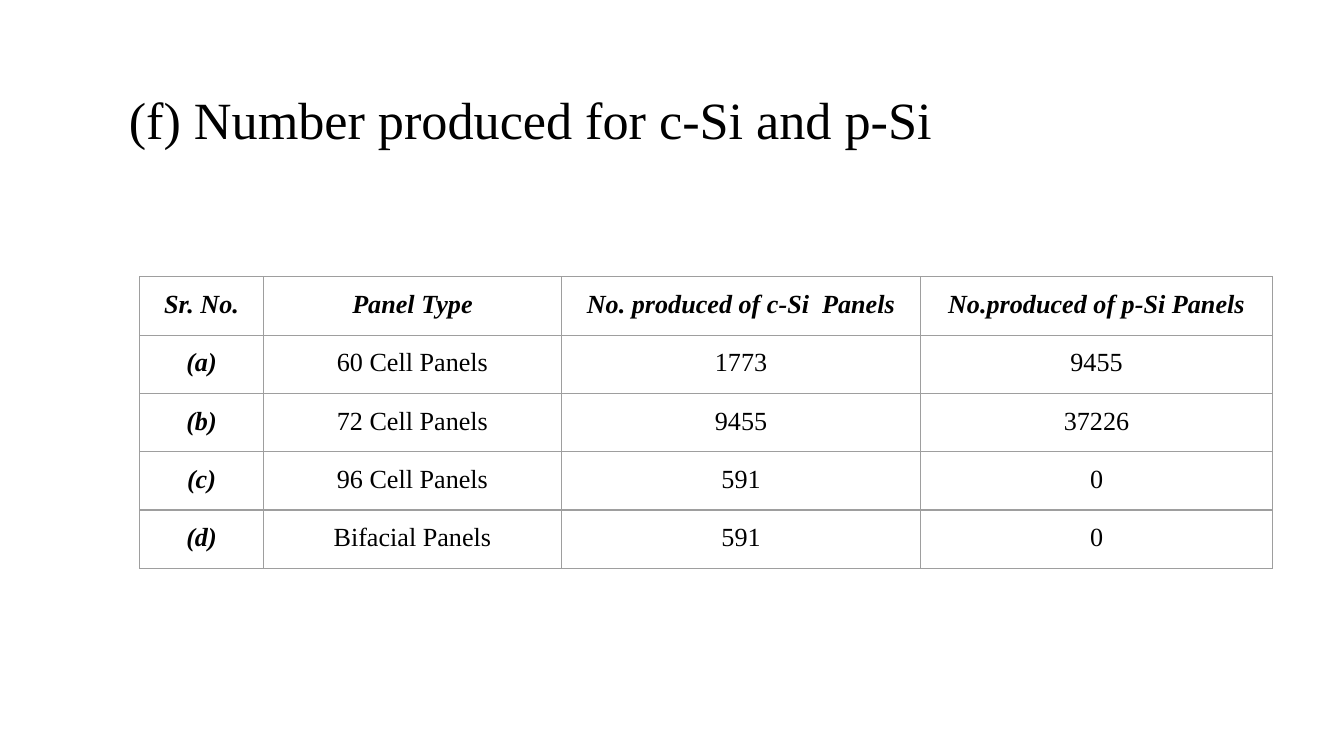
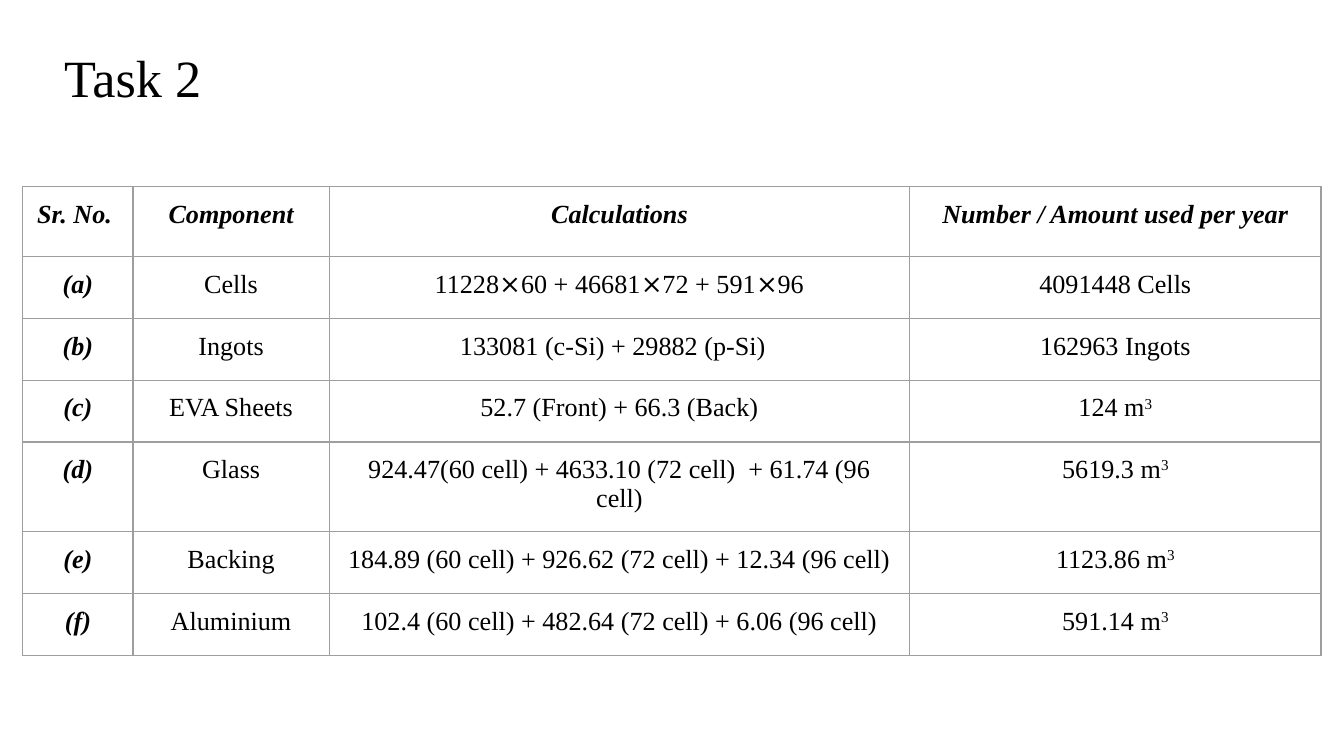
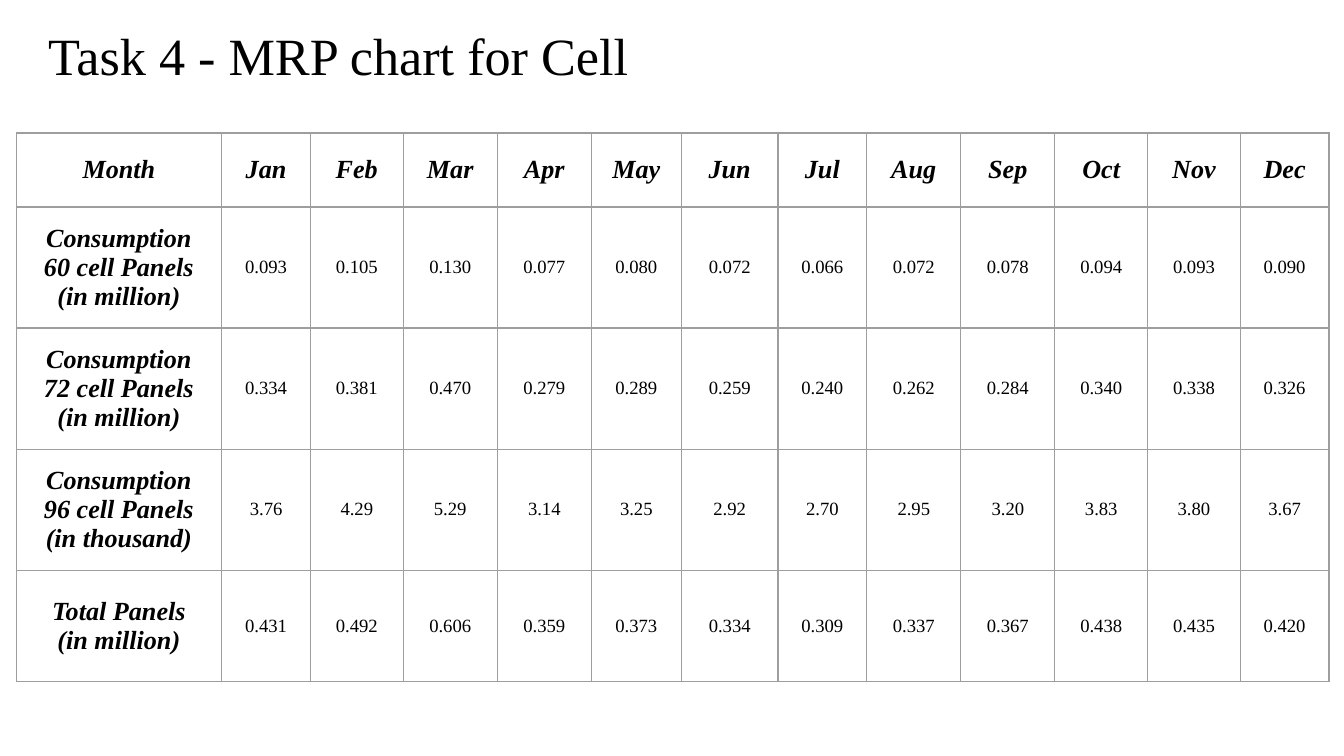
"""Build three slides on solar panel output, parts used and cell demand."""
import dataclasses

import lxml.etree
import pptx
import pptx.dml.color
import pptx.enum.text
import pptx.oxml.ns
import pptx.util

Inches = pptx.util.Inches
Pt = pptx.util.Pt
Align = pptx.enum.text.PP_ALIGN
Anchor = pptx.enum.text.MSO_ANCHOR
name = pptx.oxml.ns.qn


@dataclasses.dataclass(frozen=True)
class Theme:
    """Hold the colours, type sizes and insets that all slides share."""
    font: str = "Times New Roman"
    ink: str = "000000"
    rule: str = "9E9E9E"
    line: float = 0.75
    title: int = 28
    body: int = 14
    small: int = 10
    pad: float = 0.1


THEME = Theme()

PANELS = [
    ["Sr. No.", "Panel Type", "No. produced of c-Si  Panels", "No.produced of p-Si Panels"],
    ["(a)", "60 Cell Panels", "1773", "9455"],
    ["(b)", "72 Cell Panels", "9455", "37226"],
    ["(c)", "96 Cell Panels", "591", "0"],
    ["(d)", "Bifacial Panels", "591", "0"],
]

PARTS = [
    ["Sr. No. ", "Component", "Calculations", "Number / Amount used per year"],
    ["(a)", "Cells", "11228⨯60 + 46681⨯72 + 591⨯96", "4091448 Cells"],
    ["(b)", "Ingots", "133081 (c-Si) + 29882 (p-Si)  ", "162963 Ingots"],
    ["(c)", "EVA Sheets", "52.7 (Front) + 66.3 (Back)", "124 m^3"],
    ["(d)", "Glass", "924.47(60 cell) + 4633.10 (72 cell)  + 61.74 (96 cell)", "5619.3 m^3"],
    ["(e)", "Backing", "184.89 (60 cell) + 926.62 (72 cell) + 12.34 (96 cell)", "1123.86 m^3"],
    ["(f)", "Aluminium", "102.4 (60 cell) + 482.64 (72 cell) + 6.06 (96 cell)", "591.14 m^3"],
]

DEMAND = [
    [head, *cells.split()] for head, cells in [
        ("Month", "Jan Feb Mar Apr May Jun Jul Aug Sep Oct Nov Dec"),
        ("Consumption\n60 cell Panels\n(in million)",
         "0.093 0.105 0.130 0.077 0.080 0.072 0.066 0.072 0.078 0.094 0.093 0.090"),
        ("Consumption\n72 cell Panels\n(in million)",
         "0.334 0.381 0.470 0.279 0.289 0.259 0.240 0.262 0.284 0.340 0.338 0.326"),
        ("Consumption\n96 cell Panels\n(in thousand)",
         "3.76 4.29 5.29 3.14 3.25 2.92 2.70 2.95 3.20 3.83 3.80 3.67"),
        ("Total Panels\n(in million)",
         "0.431 0.492 0.606 0.359 0.373 0.334 0.309 0.337 0.367 0.438 0.435 0.420"),
    ]
]


def add_run(para, text, size, strong=False, raised=False):
    """Add one styled run, raised for a power."""
    run = para.add_run()
    run.text = text
    font = run.font
    font.name, font.size = THEME.font, Pt(size)
    font.bold = font.italic = strong
    font.color.rgb = pptx.dml.color.RGBColor.from_string(THEME.ink)
    props = run._r.get_or_add_rPr()
    for script in ("a:ea", "a:cs", "a:sym"):
        lxml.etree.SubElement(props, name(script), typeface=THEME.font)
    if raised:
        props.set("baseline", "30000")


def set_para(para, align):
    """Align a paragraph and give it plain single spacing."""
    para.alignment = align
    para.line_spacing = 1.0
    para.space_before = para.space_after = Pt(0)


def pad(item):
    """Give a text frame or cell the shared insets."""
    item.margin_left = item.margin_right = Inches(THEME.pad)
    item.margin_top = item.margin_bottom = Inches(THEME.pad)


def add_title(slide, text, left, top, width, align=Align.LEFT):
    """Add the slide title."""
    box = slide.shapes.add_textbox(Inches(left), Inches(top), Inches(width), Inches(0.63))
    frame = box.text_frame
    frame.word_wrap = True
    pad(frame)
    para = frame.paragraphs[0]
    set_para(para, align)
    add_run(para, text, THEME.title)


def add_rules(cell):
    """Draw a thin rule on each side of a cell."""
    props = cell._tc.get_or_add_tcPr()
    for spot, side in enumerate(("a:lnL", "a:lnR", "a:lnT", "a:lnB")):
        line = lxml.etree.Element(name(side), w=str(Pt(THEME.line)))
        fill = lxml.etree.SubElement(line, name("a:solidFill"))
        lxml.etree.SubElement(fill, name("a:srgbClr"), val=THEME.rule)
        props.insert(spot, line)


def fill_cell(cell, text, size, strong, anchor):
    """Write centred lines in a cell, with a power after each caret."""
    cell.fill.background()
    add_rules(cell)
    pad(cell)
    cell.vertical_anchor = anchor
    frame = cell.text_frame
    for count, line in enumerate(text.split("\n")):
        para = frame.add_paragraph() if count else frame.paragraphs[0]
        set_para(para, Align.CENTER)
        base, _, power = line.partition("^")
        add_run(para, base, size, strong)
        if power:
            add_run(para, power, size, strong, raised=True)


def add_grid(slide, data, left, top, widths, head, row, size=THEME.body, anchor=Anchor.TOP):
    """Add a ruled table whose first row and column are strong."""
    heights = [head] + [row] * (len(data) - 1)
    shape = slide.shapes.add_table(
        len(data), len(widths), Inches(left), Inches(top), Inches(3.28), Inches(3.28))
    table = shape.table
    table.first_row = table.horz_banding = False
    for col, width in zip(table.columns, widths):
        col.width = Inches(width)
    for y, (height, texts) in enumerate(zip(heights, data)):
        table.rows[y].height = Inches(height)
        for x, text in enumerate(texts):
            strong = x == 0 or y == 0
            fill_cell(table.cell(y, x), text, THEME.body if strong else size, strong, anchor)
    shape.width = shape.height = Inches(3.28)


def main():
    """Build and save the deck."""
    deck = pptx.Presentation()
    deck.slide_width, deck.slide_height = Inches(10), Inches(10) * 9 // 16
    blank = deck.slide_layouts[6]

    slide = deck.slides.add_slide(blank)
    add_title(slide, "(f) Number produced for c-Si and p-Si", 0.86, 0.55, 8.29)
    add_grid(slide, PANELS, 1.04, 2.06, [0.92, 2.22, 2.67, 2.62], 0.42, 0.43)

    slide = deck.slides.add_slide(blank)
    add_title(slide, "Task 2", 0.38, 0.24, 3.64)
    add_grid(slide, PARTS, 0.17, 1.39, [0.82, 1.46, 4.32, 3.06], 0.52, 0.46)

    slide = deck.slides.add_slide(blank)
    add_title(slide, "Task 4 - MRP chart for Cell", 0.26, 0.07, 9.32, Align.JUSTIFY)
    months = [0.66, 0.69, 0.7, 0.7, 0.67, 0.72, 0.66, 0.7, 0.7, 0.69, 0.69, 0.66]
    add_grid(slide, DEMAND, 0.12, 0.99, [1.53, *months], 0.55, 0.83,
             THEME.small, Anchor.MIDDLE)

    deck.save("out.pptx")


if __name__ == "__main__":
    main()
